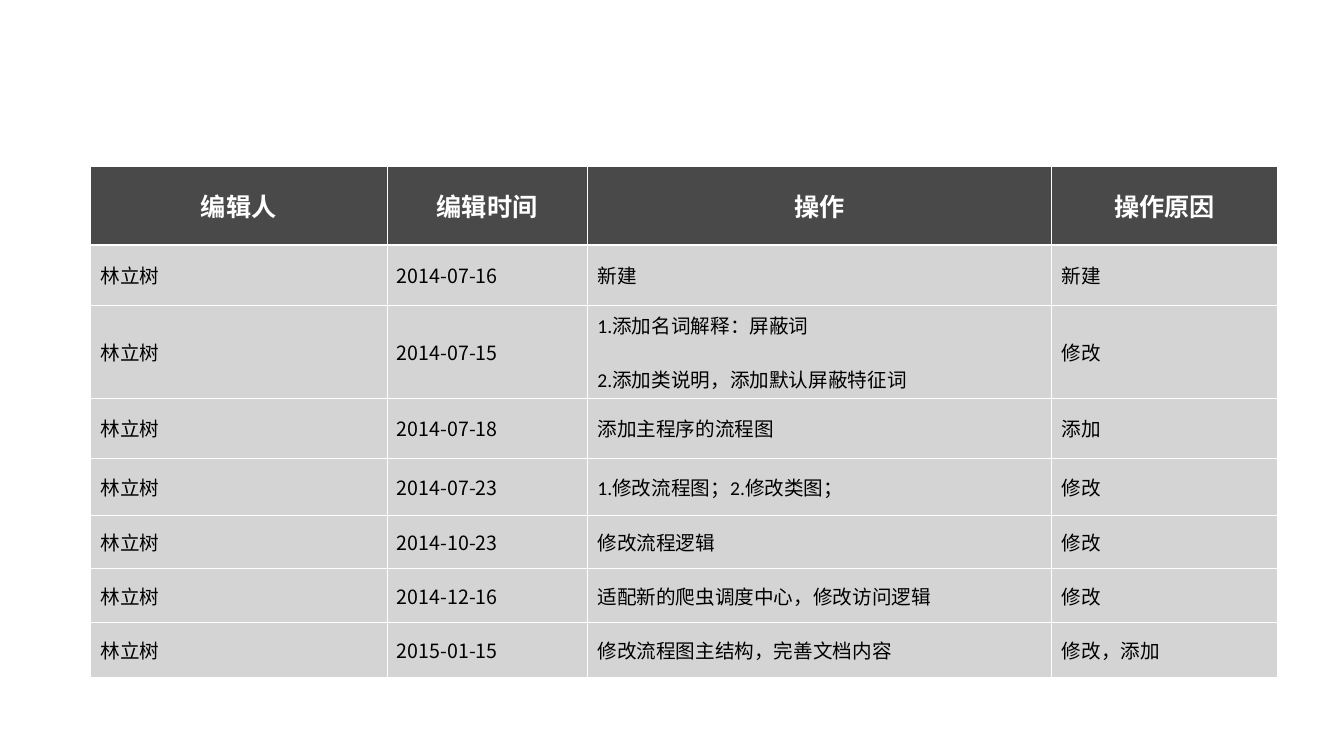
from lxml.etree import SubElement
from pptx import Presentation
from pptx.dml.color import RGBColor
from pptx.enum.text import MSO_ANCHOR, PP_ALIGN
from pptx.oxml.ns import qn
from pptx.util import Inches, Pt

WHITE = RGBColor(0xFF, 0xFF, 0xFF)
BLACK = RGBColor(0, 0, 0)
HEADER_GREY = RGBColor(0x49, 0x49, 0x49)
BODY_GREY = RGBColor(0xD4, 0xD4, 0xD4)
TEXT_FONT = "Calibri"
DATE_FONT = "Noto Sans CJK SC"
THIN, THICK = Pt(0.45), Pt(1.47)

EDITOR = "林立树"
HEADINGS = ("编辑人", "编辑时间", "操作", "操作原因")
REVISIONS = (
    ("2014-07-16", "新建", "新建"),
    ("2014-07-15", "1.添加名词解释：屏蔽词\n2.添加类说明，添加默认屏蔽特征词", "修改"),
    ("2014-07-18", "添加主程序的流程图", "添加"),
    ("2014-07-23", "1.修改流程图；2.修改类图；", "修改"),
    ("2014-10-23", "修改流程逻辑", "修改"),
    ("2014-12-16", "适配新的爬虫调度中心，修改访问逻辑", "修改"),
    ("2015-01-15", "修改流程图主结构，完善文档内容", "修改，添加"),
)
DATE_COLUMN = 1
COLUMN_SHARES = (2.94, 1.99, 4.61, 2.24)
ROW_SHARES = (0.78, 0.6, 0.86, 0.6, 0.56, 0.53, 0.54, 0.54)


def add_borders(cell, top, bottom):
    """Draw white borders around a cell."""
    properties = cell._tc.get_or_add_tcPr()
    for side, weight in (("L", THIN), ("R", THIN), ("T", top), ("B", bottom)):
        border = SubElement(properties, qn(f"a:ln{side}"), w=str(int(weight)))
        paint = SubElement(border, qn("a:solidFill"))
        SubElement(paint, qn("a:srgbClr"), val=str(WHITE))


def fill_cell(cell, text, row, column):
    """Write and style one cell of the revision table."""
    is_header = row == 0
    add_borders(cell, THICK if row == 1 else THIN, THICK if is_header else THIN)
    cell.fill.solid()
    cell.fill.fore_color.rgb = HEADER_GREY if is_header else BODY_GREY
    cell.vertical_anchor = MSO_ANCHOR.MIDDLE
    cell.text = text
    for index, paragraph in enumerate(cell.text_frame.paragraphs):
        paragraph.alignment = PP_ALIGN.CENTER if is_header else PP_ALIGN.LEFT
        paragraph.space_before = Pt(18 if index else 0)
        font = paragraph.font
        font.name = DATE_FONT if column == DATE_COLUMN and not is_header else TEXT_FONT
        font.size = Pt(18 if is_header else 14)
        font.bold = is_header
        font.color.rgb = WHITE if is_header else BLACK


def add_revision_table(slide, left, top, width, height):
    """Place the revision history in the given box."""
    records = [HEADINGS] + [(EDITOR, *revision) for revision in REVISIONS]
    table = slide.shapes.add_table(
        len(records), len(HEADINGS), left, top, width, height
    ).table
    table.horz_banding = False
    for column, share in zip(table.columns, COLUMN_SHARES):
        column.width = int(width * share / sum(COLUMN_SHARES))
    for row, share in zip(table.rows, ROW_SHARES):
        row.height = int(height * share / sum(ROW_SHARES))
    for row, record in enumerate(records):
        for column, text in enumerate(record):
            fill_cell(table.cell(row, column), text, row, column)


def main():
    """Build the revision history slide."""
    presentation = Presentation()
    presentation.slide_width = Inches(13.34)
    presentation.slide_height = Inches(7.5)
    slide = presentation.slides.add_slide(presentation.slide_layouts[6])
    add_revision_table(slide, Inches(0.9), Inches(1.65), Inches(11.78), Inches(5.01))
    presentation.save("out.pptx")


if __name__ == "__main__":
    main()
